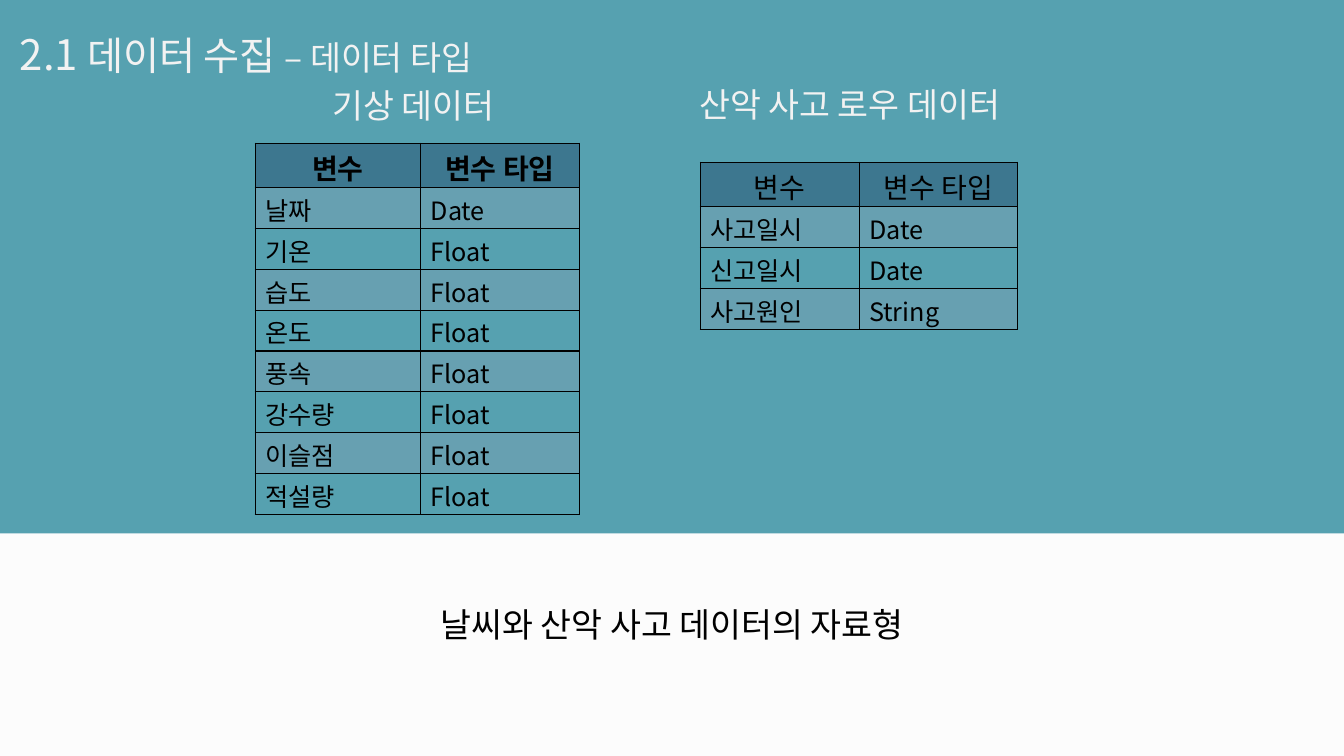
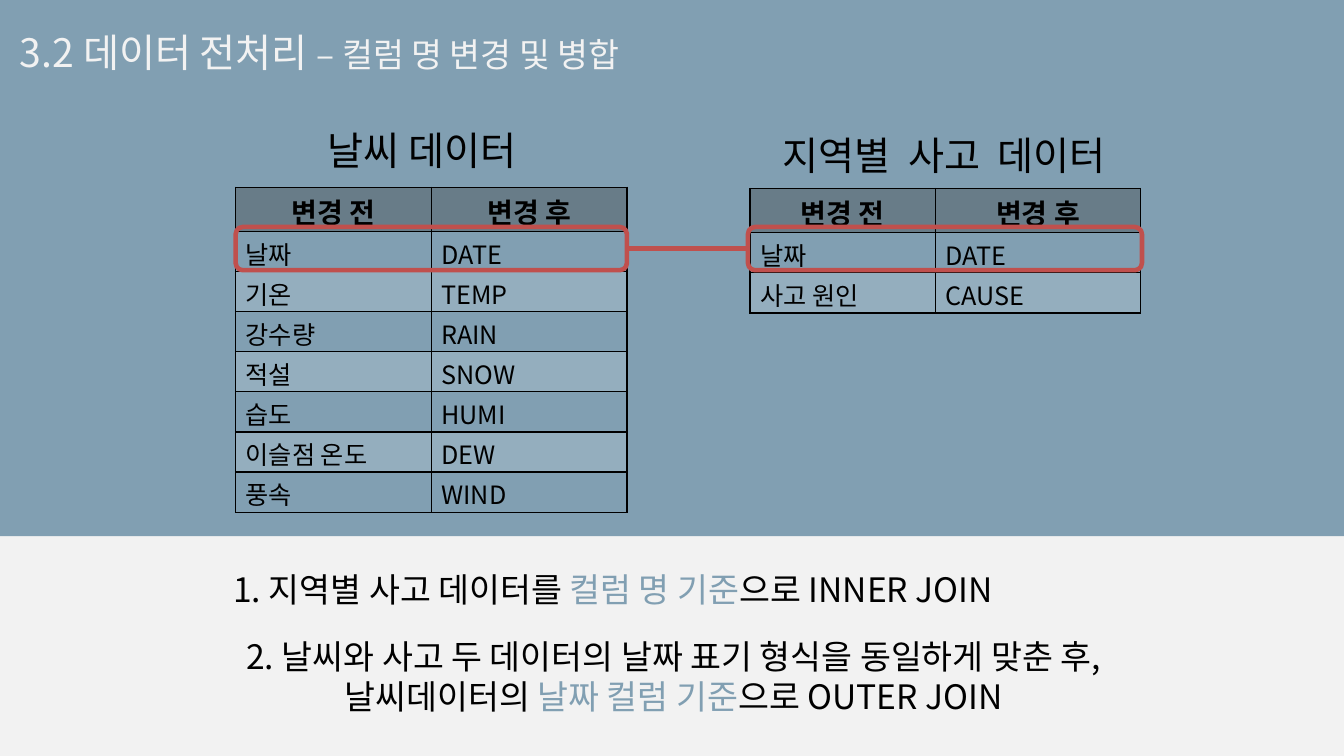
from lxml.etree import SubElement
from pptx import Presentation
from pptx.dml.color import RGBColor
from pptx.enum.shapes import MSO_CONNECTOR, MSO_SHAPE
from pptx.enum.text import MSO_ANCHOR, MSO_AUTO_SIZE, PP_ALIGN
from pptx.oxml.ns import qn
from pptx.util import Cm, Pt

# Shared look
FONT = "Noto Sans CJK KR"
SLIDE_WIDTH, SLIDE_HEIGHT = 33.87, 19.05
BLACK = "000000"
LIGHT = "F2F2F2"
TEAL = "56A1B0"
BLUE_GRAY = "819FB2"
RED = "C0504D"
HEADER_HEIGHT = 1.11


def rgb(value):
    return RGBColor.from_string(value)


def style_run(run, size, color, bold=False):
    font = run.font
    font.name, font.size, font.bold = FONT, Pt(size), bold
    font.color.rgb = rgb(color)
    SubElement(run._r.get_or_add_rPr(), qn("a:ea")).set("typeface", FONT)


def fill_paragraph(paragraph, pieces, align):
    """Write (text, size, color) pieces into a paragraph."""
    paragraph.alignment = align
    for text, size, color in pieces:
        run = paragraph.add_run()
        run.text = text
        style_run(run, size, color)


def start_slide(deck, background, band_color, band_height, title_pieces):
    """Title-only slide with a coloured band behind its title."""
    slide = deck.slides.add_slide(deck.slide_layouts[5])
    slide.background.fill.solid()
    slide.background.fill.fore_color.rgb = rgb(background)

    title = slide.shapes.title
    title.left, title.top, title.width, title.height = map(Cm, (0.25, 0.58, 28, 1.8))
    frame = title.text_frame
    frame.auto_size = MSO_AUTO_SIZE.NONE
    frame.vertical_anchor = MSO_ANCHOR.TOP
    fill_paragraph(frame.paragraphs[0],
                   [(text, size, LIGHT) for text, size in title_pieces],
                   PP_ALIGN.LEFT)

    band = slide.shapes.add_shape(MSO_SHAPE.RECTANGLE, 0, 0,
                                  Cm(SLIDE_WIDTH), Cm(band_height))
    band.shadow.inherit = False
    band.fill.solid()
    band.fill.fore_color.rgb = rgb(band_color)
    band.line.fill.background()
    title._element.addprevious(band._element)
    return slide


def add_text(slide, box, paragraphs, align=PP_ALIGN.CENTER):
    frame = slide.shapes.add_textbox(*map(Cm, box)).text_frame
    frame.word_wrap = True
    for index, pieces in enumerate(paragraphs):
        paragraph = frame.add_paragraph() if index else frame.paragraphs[0]
        fill_paragraph(paragraph, pieces, align)


def add_borders(cell):
    properties = cell._tc.get_or_add_tcPr()
    for side in ("a:lnL", "a:lnR", "a:lnT", "a:lnB"):
        line = SubElement(properties, qn(side), w=str(Pt(1)))
        SubElement(SubElement(line, qn("a:solidFill")), qn("a:srgbClr"), val=BLACK)


def add_grid(slide, left, top, widths, row_height, rows, header_fill,
             stripe_fill, first_stripe, bold_header=True):
    """Bordered table: header, then every second row striped."""
    heights = [HEADER_HEIGHT] + [row_height] * (len(rows) - 1)
    table = slide.shapes.add_table(
        len(rows), len(widths), Cm(left), Cm(top),
        Cm(sum(widths)), Cm(sum(heights))).table
    table.first_row = table.horz_banding = False
    for column, width in zip(table.columns, widths):
        column.width = Cm(width)
    for r, values in enumerate(rows):
        table.rows[r].height = Cm(heights[r])
        is_header = r == 0
        for c, value in enumerate(values):
            cell = table.cell(r, c)
            cell.margin_top, cell.margin_bottom = Cm(0.09), 0
            add_borders(cell)
            if is_header or r % 2 == first_stripe % 2:
                cell.fill.solid()
                cell.fill.fore_color.rgb = rgb(header_fill if is_header else stripe_fill)
            else:
                cell.fill.background()
            paragraph = cell.text_frame.paragraphs[0]
            paragraph.text = value
            paragraph.alignment = PP_ALIGN.CENTER if is_header else PP_ALIGN.LEFT
            style_run(paragraph.runs[0], 20 if is_header else 18, BLACK,
                      is_header and bold_header)


def add_highlight(slide, box):
    highlight = slide.shapes.add_shape(MSO_SHAPE.ROUNDED_RECTANGLE, *map(Cm, box))
    highlight.shadow.inherit = False
    highlight.fill.background()
    highlight.line.color.rgb = rgb(RED)
    highlight.line.width = Pt(3.25)
    return highlight


def join_sides(slide, start, end):
    """Line from the right side of start to the left side of end."""
    link = slide.shapes.add_connector(MSO_CONNECTOR.STRAIGHT, 0, 0, 0, 0)
    link.begin_connect(start, 3)
    link.end_connect(end, 1)
    link.line.color.rgb = rgb(RED)
    link.line.width = Pt(4)
    SubElement(link._element.spPr, qn("a:effectLst"))


def build_data_types(deck):
    slide = start_slide(deck, "FCFCFC", TEAL, 13.44,
                        [("2.1", 30), (" 데이터 수집 ", 28), ("– 데이터 타입", 24)])

    # Variable tables
    look = dict(row_height=1.03, header_fill="3D778F", stripe_fill="67A0B1",
                first_stripe=1)
    weather = [("날짜", "Date")] + [
        (name, "Float")
        for name in ("기온", "습도", "온도", "풍속", "강수량", "이슬점", "적설량")]
    accidents = [("사고일시", "Date"), ("신고일시", "Date"), ("사고원인", "String")]
    header = ("변수", "변수 타입")
    add_grid(slide, 6.43, 3.61, (4.17, 4), rows=[header] + weather, **look)
    add_grid(slide, 17.65, 4.09, (4, 4), rows=[header] + accidents,
             bold_header=False, **look)

    # Table headings and caption
    add_text(slide, (8.13, 2.01, 6.88, 1.48), [[("기상 데이터", 24, LIGHT)]],
             PP_ALIGN.LEFT)
    add_text(slide, (17.37, 1.98, 10.36, 1.48),
             [[("산악 사고 로우 데이터", 24, LIGHT)]], PP_ALIGN.LEFT)
    add_text(slide, (6.43, 15.09, 21.01, 1.48),
             [[("날씨와 산악 사고 데이터의 자료형", 24, BLACK)]])


def build_renaming(deck):
    slide = start_slide(deck, LIGHT, BLUE_GRAY, 13.51,
                        [("3.2 데이터 전처리 ", 28), ("– 컬럼 명 변경 및 병합", 24)])

    # Column name tables
    look = dict(row_height=1.01, header_fill="687C88", stripe_fill="94AEBE",
                first_stripe=2)
    header, date = ("변경 전", "변경 후"), ("날짜", "DATE")
    weather = [("기온", "TEMP"), ("강수량", "RAIN"), ("적설", "SNOW"),
               ("습도", "HUMI"), ("이슬점 온도", "DEW"), ("풍속", "WIND")]
    add_grid(slide, 5.94, 4.72, (4.93, 4.93), rows=[header, date] + weather, **look)
    add_grid(slide, 18.9, 4.75, (4.67, 5.18),
             rows=[header, date, ("사고 원인", "CAUSE")], **look)
    add_text(slide, (7.34, 3.06, 6.6, 1.68), [[("날씨 데이터", 28, BLACK)]])
    add_text(slide, (19.1, 3.19, 9.4, 1.68), [[("지역별  사고  데이터", 28, BLACK)]])

    # Shared date column
    weather_date = add_highlight(slide, (5.94, 5.72, 9.86, 1.09))
    accident_date = add_highlight(slide, (18.85, 5.72, 9.93, 1.09))
    join_sides(slide, weather_date, accident_date)

    # Join steps
    add_text(slide, (4.95, 14.2, 21, 1.48), [
        [("1. 지역별 사고 데이터를 ", 24, BLACK), ("컬럼 명 기준", 24, BLUE_GRAY),
         ("으로 INNER JOIN", 24, BLACK)]])
    add_text(slide, (5.05, 15.9, 23.85, 2.72), [
        [("2. 날씨와 사고 두 데이터의 날짜 표기 형식을 동일하게 맞춘 후,", 24, BLACK)],
        [("날씨데이터의 ", 24, BLACK), ("날짜 컬럼 기준", 24, BLUE_GRAY),
         ("으로 OUTER JOIN", 24, BLACK)]])


def main():
    deck = Presentation()
    deck.slide_width, deck.slide_height = Cm(SLIDE_WIDTH), Cm(SLIDE_HEIGHT)
    build_data_types(deck)
    build_renaming(deck)
    deck.save("out.pptx")


if __name__ == "__main__":
    main()
